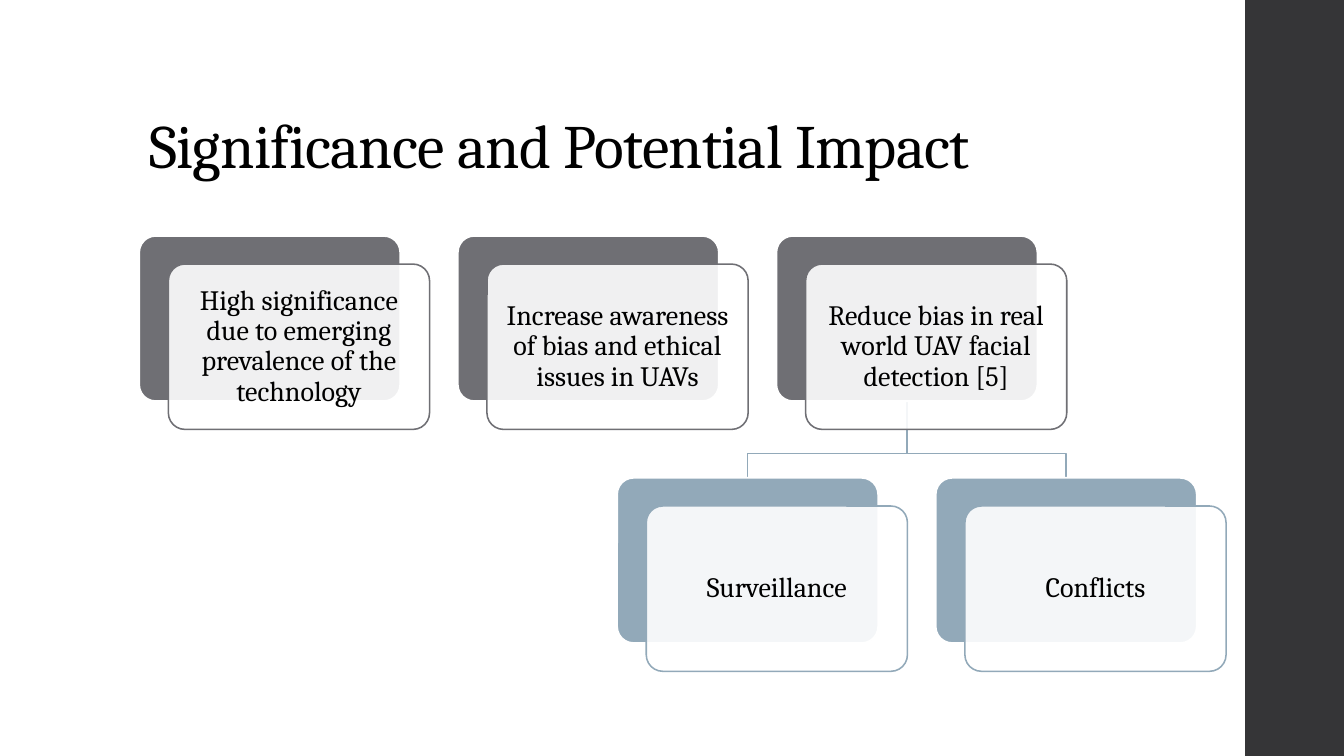
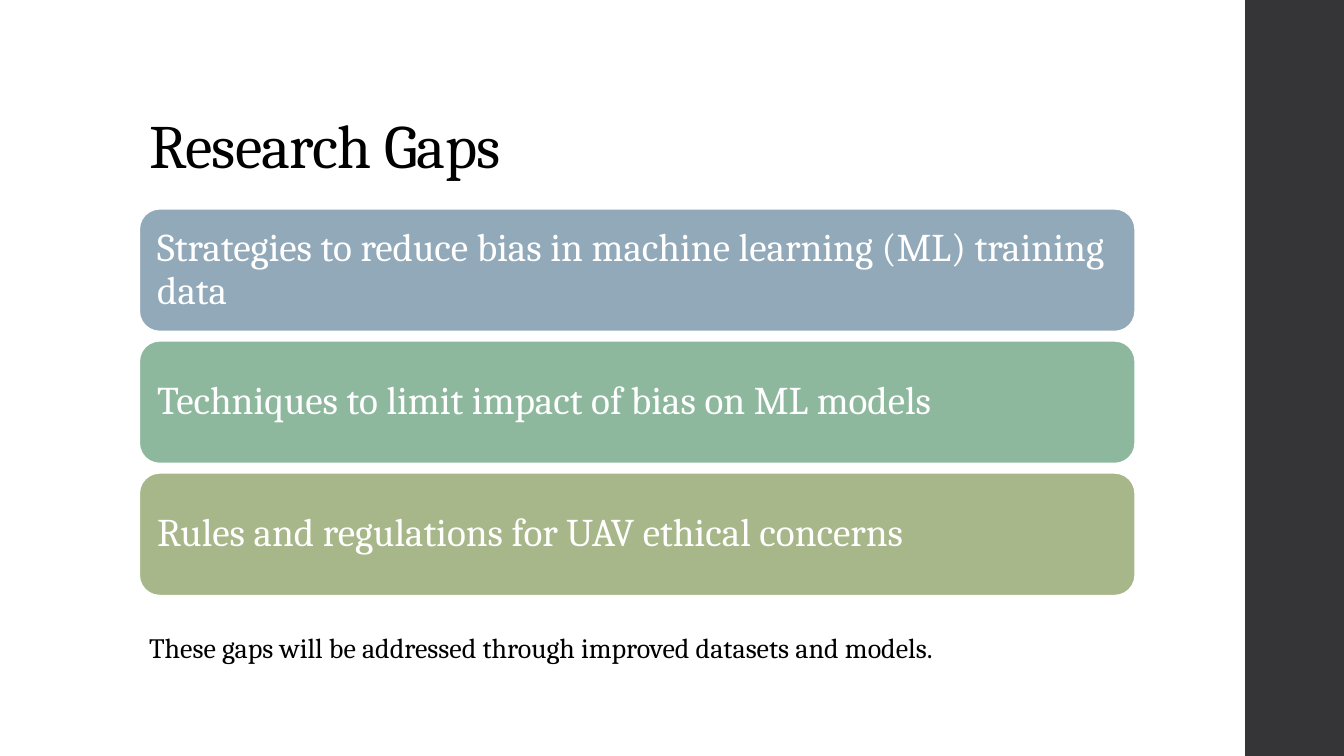
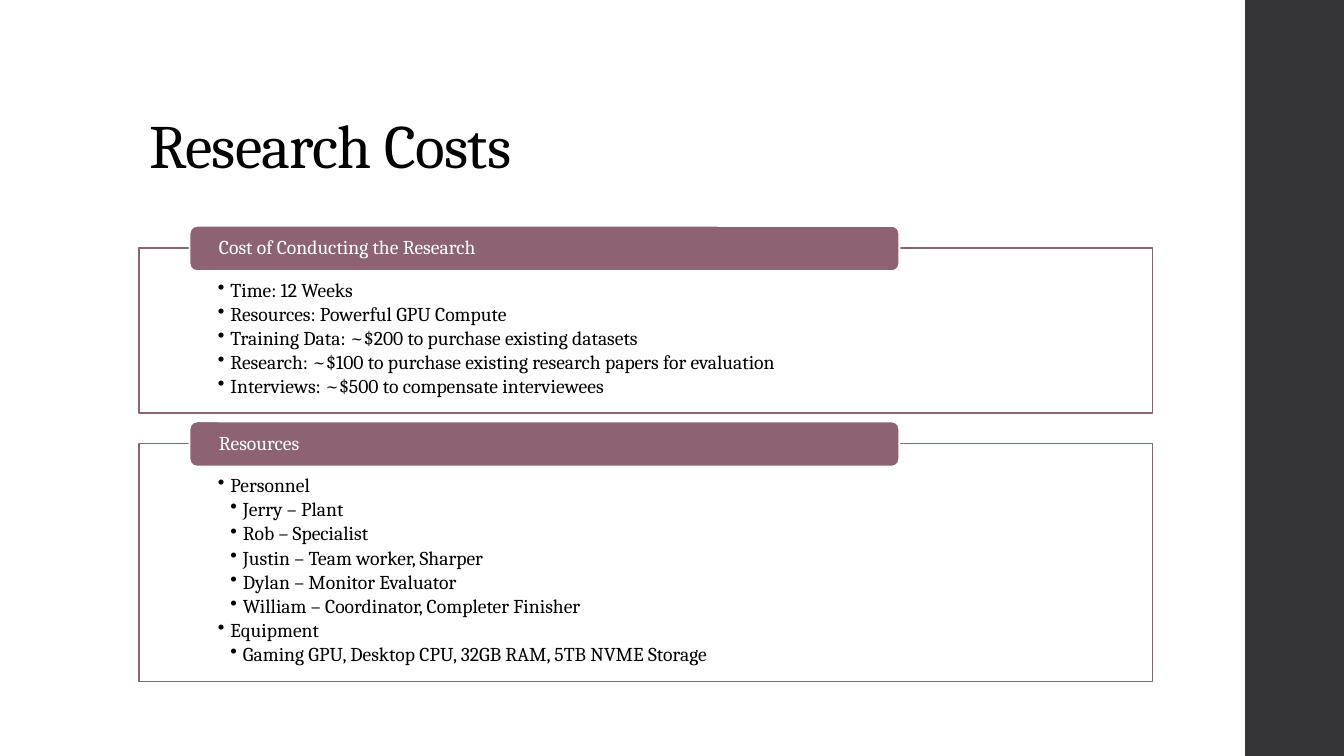
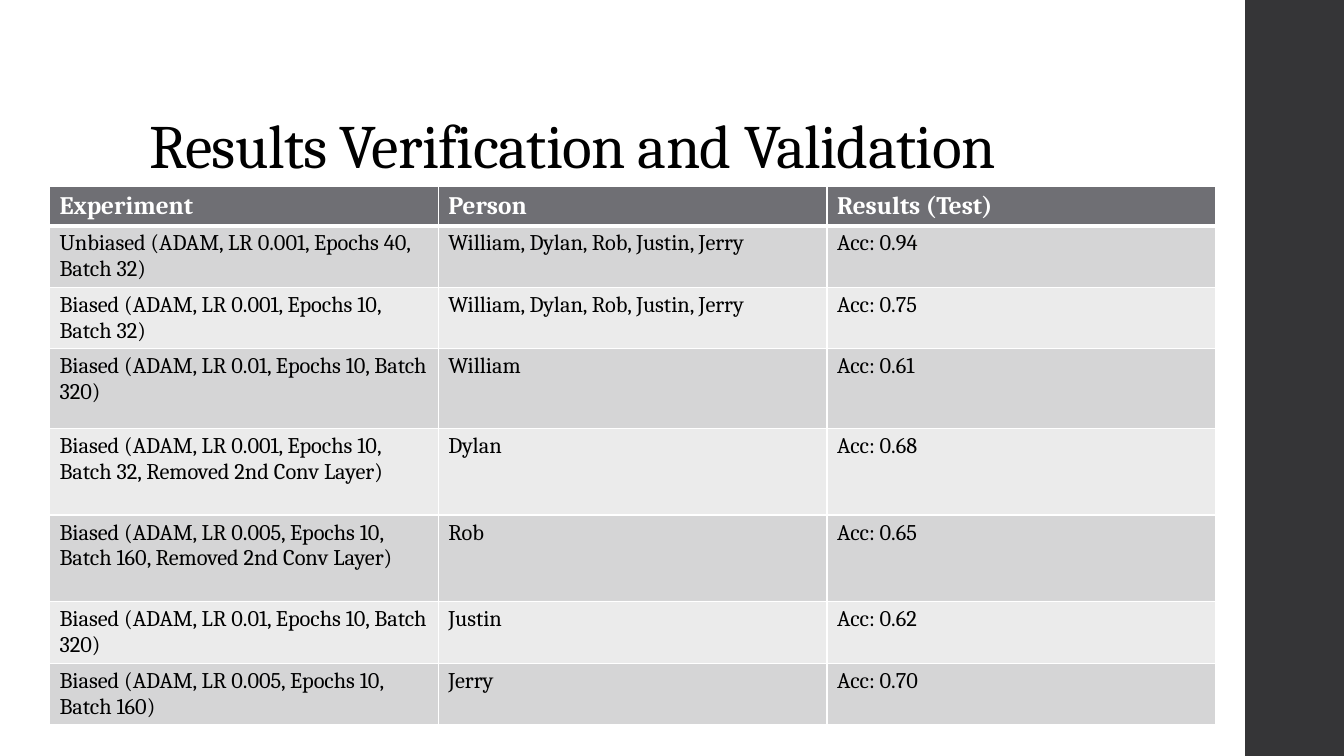
import lxml.etree
import pptx
import pptx.dml.color
import pptx.enum.shapes
import pptx.enum.text
import pptx.oxml.ns
import pptx.util

FONT = "Cambria"
BLACK, WHITE, CHARCOAL = "000000", "FFFFFF", "353537"
GREY, BLUE, GREEN, OLIVE, PLUM = "6F6F74", "92A9B9", "8EB89E", "A7B789", "8D6374"
STRIPES = ("D5D5D6", "EBEBEB")

SLIDE_W, SLIDE_H = 13.33, 7.5
BAND_LEFT = 12.35
LEFT = 1.38
TITLE_TOP, TITLE_W, TITLE_H = 0.4, 10.78, 1.45

RECT = pptx.enum.shapes.MSO_SHAPE.RECTANGLE
ROUNDED = pptx.enum.shapes.MSO_SHAPE.ROUNDED_RECTANGLE
CENTER, LEFT_ALIGN = pptx.enum.text.PP_ALIGN.CENTER, pptx.enum.text.PP_ALIGN.LEFT
TOP, MIDDLE = pptx.enum.text.MSO_ANCHOR.TOP, pptx.enum.text.MSO_ANCHOR.MIDDLE

# Impact cards: (column, row, colour, text)
IMPACTS = [
    (0, 0, GREY, "High significance due to emerging prevalence of the technology"),
    (1, 0, GREY, "Increase awareness of bias and ethical issues in UAVs"),
    (2, 0, GREY, "Reduce bias in real world UAV facial detection [5]"),
    (1.5, 1, BLUE, "Surveillance"),
    (2.5, 1, BLUE, "Conflicts"),
]
IMPACT_PARENT, IMPACT_CHILDREN = (2, 0), [(2.5, 1), (1.5, 1)]

GAPS = [
    (BLUE, "Strategies to reduce bias in machine learning (ML) training data"),
    (GREEN, "Techniques to limit impact of bias on ML models"),
    (OLIVE, "Rules and regulations for UAV ethical concerns"),
]
GAPS_NOTE = "These gaps will be addressed through improved datasets and models."

# Cost panels: (heading, panel height, [(bullet level, text)])
COSTS = [
    ("Cost of Conducting the Research", 1.64, [
        (1, "Time: 12 Weeks"),
        (1, "Resources: Powerful GPU Compute"),
        (1, "Training Data: ~$200 to purchase existing datasets"),
        (1, "Research: ~$100 to purchase existing research papers for evaluation"),
        (1, "Interviews: ~$500 to compensate interviewees"),
    ]),
    ("Resources", 2.36, [
        (1, "Personnel"),
        (2, "Jerry – Plant"),
        (2, "Rob – Specialist"),
        (2, "Justin – Team worker, Sharper"),
        (2, "Dylan – Monitor Evaluator"),
        (2, "William – Coordinator, Completer Finisher"),
        (1, "Equipment"),
        (2, "Gaming GPU, Desktop CPU, 32GB RAM, 5TB NVME Storage"),
    ]),
]

EVERYONE = "William, Dylan, Rob, Justin, Jerry"
RESULTS_HEADER = ("Experiment", "Person", "Results (Test)")
# Results: (row height, cells)
RESULTS = [
    (0.61, ("Unbiased (ADAM, LR 0.001, Epochs 40, Batch 32)", EVERYONE, "Acc: 0.94")),
    (0.61, ("Biased (ADAM, LR 0.001, Epochs 10, Batch 32)", EVERYONE, "Acc: 0.75")),
    (0.79, ("Biased (ADAM, LR 0.01, Epochs 10, Batch 320)", "William", "Acc: 0.61")),
    (0.86, ("Biased (ADAM, LR 0.001, Epochs 10, Batch 32, Removed 2nd Conv Layer)",
            "Dylan", "Acc: 0.68")),
    (0.86, ("Biased (ADAM, LR 0.005, Epochs 10, Batch 160, Removed 2nd Conv Layer)",
            "Rob", "Acc: 0.65")),
    (0.61, ("Biased (ADAM, LR 0.01, Epochs 10, Batch 320)", "Justin", "Acc: 0.62")),
    (0.61, ("Biased (ADAM, LR 0.005, Epochs 10, Batch 160)", "Jerry", "Acc: 0.70")),
]


def rgb(hex_colour):
    return pptx.dml.color.RGBColor.from_string(hex_colour)


def inches(*lengths):
    return [pptx.util.Inches(length) for length in lengths]


def add_xml(parent, tag, **attributes):
    child = lxml.etree.SubElement(parent, pptx.oxml.ns.qn(tag))
    for name, value in attributes.items():
        child.set(name, str(value))
    return child


def add_run(paragraph, text, size, colour, bold=False):
    run = paragraph.add_run()
    run.text = text
    run.font.name = FONT
    run.font.size = pptx.util.Pt(size)
    run.font.bold = bold
    run.font.color.rgb = rgb(colour)
    return run


def set_line(line, colour, width):
    line.color.rgb = rgb(colour)
    line.width = pptx.util.Pt(width)


def add_box(slide, kind, at, fill, line=None, corner=None, opacity=None):
    """Add a flat preset shape; line is (colour, points), opacity a percentage."""
    box = slide.shapes.add_shape(kind, *inches(*at))
    box.shadow.inherit = False
    box.fill.solid()
    box.fill.fore_color.rgb = rgb(fill)
    if opacity:
        colour = box.fill._xPr.find(".//" + pptx.oxml.ns.qn("a:srgbClr"))
        add_xml(colour, "a:alpha", val=opacity * 1000)
    if line:
        set_line(box.line, *line)
    else:
        box.line.fill.background()
    if corner:
        box.adjustments[0] = corner
    return box


def prepare_frame(box, anchor, insets):
    frame = box.text_frame
    frame.word_wrap = True
    frame.vertical_anchor = anchor
    (frame.margin_left, frame.margin_top,
     frame.margin_right, frame.margin_bottom) = inches(*insets)
    return frame


def label(box, text, size, colour, insets, align=LEFT_ALIGN):
    paragraph = prepare_frame(box, MIDDLE, insets).paragraphs[0]
    paragraph.alignment = align
    paragraph.line_spacing = 0.9
    add_run(paragraph, text, size, colour)


def add_bullets(box, bullets, insets, size=14, indent=0.125):
    frame = prepare_frame(box, TOP, insets)
    for index, (level, text) in enumerate(bullets):
        paragraph = frame.add_paragraph() if index else frame.paragraphs[0]
        paragraph.alignment = LEFT_ALIGN
        paragraph.line_spacing = 0.9
        paragraph.space_after = pptx.util.Pt(2.1)
        properties = paragraph._p.get_or_add_pPr()
        step = pptx.util.Inches(indent)
        properties.set("marL", str(step * level))
        properties.set("indent", str(-step))
        add_xml(properties, "a:buChar", char="•")
        add_run(paragraph, text, size, BLACK)


def add_titled_slide(deck, title, width=TITLE_W):
    slide = deck.slides.add_slide(deck.slide_layouts[5])
    heading = slide.shapes.title
    heading.left, heading.top, heading.width, heading.height = inches(
        LEFT, TITLE_TOP, width, TITLE_H)
    frame = heading.text_frame
    frame.auto_size = pptx.enum.text.MSO_AUTO_SIZE.NONE
    frame.vertical_anchor = pptx.enum.text.MSO_ANCHOR.BOTTOM
    paragraph = frame.paragraphs[0]
    paragraph.alignment = LEFT_ALIGN
    paragraph.line_spacing = 0.9
    run = add_run(paragraph, title, 44, BLACK)
    run.font._element.set("spc", "-50")
    return slide


def move_band_to_layout(slide):
    """Draw the side band and hand it to the layout, so every slide shows it."""
    band = add_box(slide, RECT, (BAND_LEFT, 0, SLIDE_W - BAND_LEFT, SLIDE_H), CHARCOAL)
    slide.slide_layout.shapes.element.insert(2, band.element)


def build_impact(deck):
    slide = add_titled_slide(deck, "Significance and Potential Impact")
    move_band_to_layout(slide)
    card_w, card_h = 2.59, 1.64

    def corner_of(column, row):
        return LEFT + column * 3.16, 2.34 + row * 2.4

    parent_x, parent_y = corner_of(*IMPACT_PARENT)
    start = inches(parent_x + card_w / 2, parent_y + card_h)
    for child in IMPACT_CHILDREN:
        child_x, child_y = corner_of(*child)
        end = inches(child_x + card_w / 2, child_y)
        bend_y = pptx.util.Inches(4.5)
        builder = slide.shapes.build_freeform(*start)
        builder.add_line_segments([(start[0], bend_y), (end[0], bend_y), tuple(end)],
                                  close=False)
        branch = builder.convert_to_shape()
        branch.shadow.inherit = False
        branch.fill.background()
        set_line(branch.line, BLUE, 1.1)

    for column, row, colour, text in IMPACTS:
        x, y = corner_of(column, row)
        add_box(slide, ROUNDED, (x, y, card_w, card_h), colour, (WHITE, 1.35), 0.1)
        front = add_box(slide, ROUNDED, (x + 0.29, y + 0.28, card_w, card_h),
                        WHITE, (colour, 1.1), 0.1, opacity=90)
        label(front, text, 20, BLACK, [0.08] * 4, CENTER)


def build_gaps(deck):
    slide = add_titled_slide(deck, "Research Gaps")
    for index, (colour, text) in enumerate(GAPS):
        bar = add_box(slide, ROUNDED, (LEFT, 2.07 + index * 1.31, 9.88, 1.22),
                      colour, (WHITE, 1.35))
        label(bar, text, 28, WHITE, [0.12] * 4)
    note = slide.shapes.add_textbox(*inches(LEFT, 6.21, 10.1, 0.44))
    note.text_frame.word_wrap = True
    add_run(note.text_frame.paragraphs[0], GAPS_NOTE, 20, BLACK)


def build_costs(deck):
    slide = add_titled_slide(deck, "Research Costs")
    top = 2.46
    for heading, height, bullets in COSTS:
        panel = add_box(slide, RECT, (LEFT, top, 10.05, height), WHITE,
                        (PLUM, 1.1), opacity=90)
        add_bullets(panel, bullets, (0.78, 0.32, 0.78, 0.11))
        tab = add_box(slide, ROUNDED, (LEFT + 0.5, top - 0.22, 7.04, 0.45),
                      PLUM, (WHITE, 1.35))
        label(tab, heading, 14, WHITE, (0.27, 0, 0.27, 0))
        top += height + 0.3


def set_borders(cell, top, bottom):
    """Draw white borders; top and bottom are widths in points."""
    properties = cell._tc.get_or_add_tcPr()
    widths = {"a:lnL": 1, "a:lnR": 1, "a:lnT": top, "a:lnB": bottom}
    for position, (tag, width) in enumerate(widths.items()):
        border = add_xml(properties, tag, w=pptx.util.Pt(width))
        add_xml(add_xml(border, "a:solidFill"), "a:srgbClr", val=WHITE)
        properties.insert(position, border)


def build_results(deck):
    slide = add_titled_slide(deck, "Results Verification and Validation", 10.6)
    rows = [(0.38, RESULTS_HEADER)] + RESULTS
    total_h = sum(height for height, _ in rows)
    table = slide.shapes.add_table(
        len(rows), len(RESULTS_HEADER), *inches(0.49, 1.85, 11.57, total_h)).table
    table.horz_banding = False
    for index, (height, texts) in enumerate(rows):
        table.rows[index].height = pptx.util.Inches(height)
        header = index == 0
        for column, text in enumerate(texts):
            cell = table.cell(index, column)
            cell.fill.solid()
            cell.fill.fore_color.rgb = rgb(GREY if header else STRIPES[(index - 1) % 2])
            set_borders(cell, top=3 if index == 1 else 1, bottom=3 if header else 1)
            add_run(cell.text_frame.paragraphs[0], text, 18 if header else 16,
                    WHITE if header else BLACK, header)


def main():
    deck = pptx.Presentation()
    deck.slide_width, deck.slide_height = inches(SLIDE_W, SLIDE_H)
    for build in (build_impact, build_gaps, build_costs, build_results):
        build(deck)
    deck.save("out.pptx")


if __name__ == "__main__":
    main()
